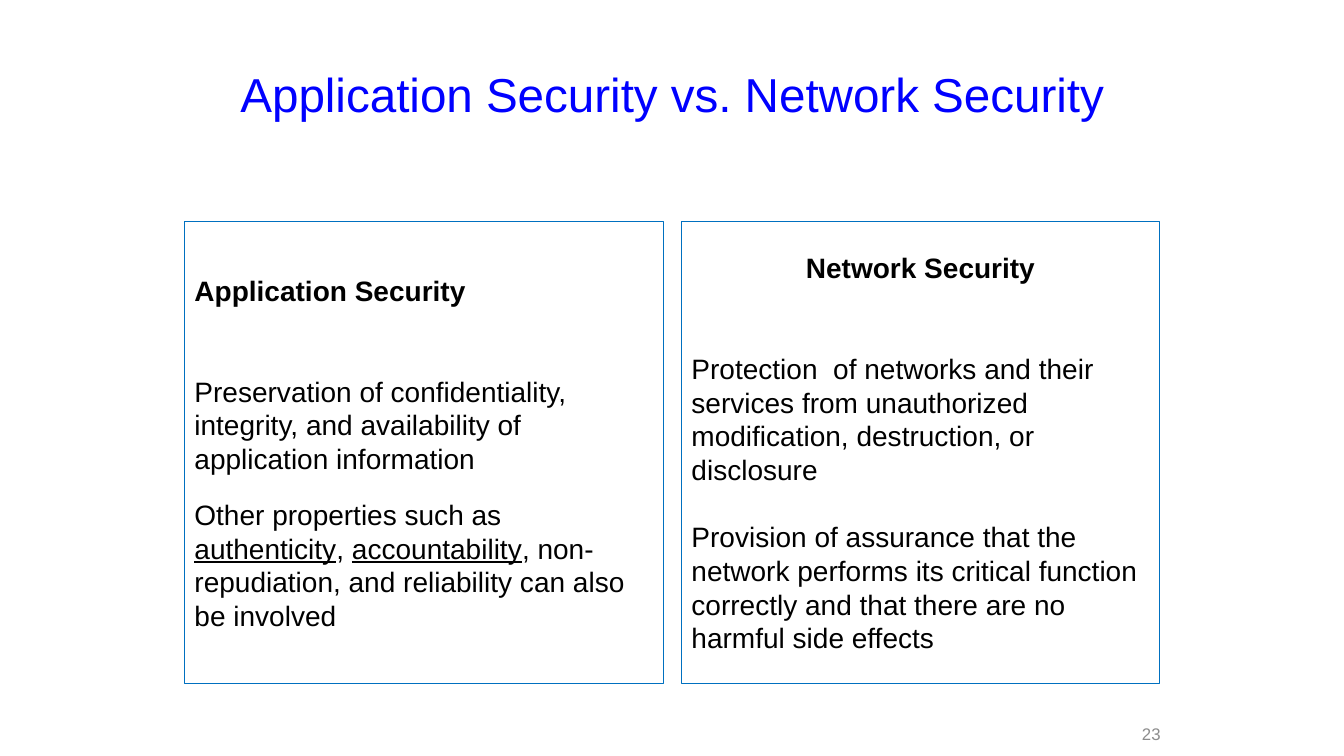
from pptx import Presentation
from pptx.dml.color import RGBColor
from pptx.enum.shapes import MSO_SHAPE
from pptx.enum.text import MSO_ANCHOR, PP_ALIGN
from pptx.util import Inches, Pt

RECTANGLE = MSO_SHAPE.RECTANGLE
MIDDLE = MSO_ANCHOR.MIDDLE
LEFT, CENTER, RIGHT = PP_ALIGN.LEFT, PP_ALIGN.CENTER, PP_ALIGN.RIGHT

BLUE, BORDER, BLACK, WHITE, GRAY = "0000FF", "0070C0", "000000", "FFFFFF", "8C8C8C"


def color(hex_value):
    return RGBColor.from_string(hex_value)


class SlideBuilder:
    font_name = "Arial"
    body_size = 20
    line_pitch = 24

    def __init__(self, slide):
        self.slide = slide

    def add_run(self, paragraph, text, hex_color, **formats):
        run = paragraph.add_run()
        run.text = text
        run.font.color.rgb = color(hex_color)
        for name, value in {"name": self.font_name, **formats}.items():
            setattr(run.font, name, value)

    def set_frame(self, frame):
        frame.word_wrap = True
        frame.vertical_anchor = MIDDLE

    def title(self, text, left, top, width, height):
        title = self.slide.shapes.title
        box = {"left": left, "top": top, "width": width, "height": height}
        for name, value in box.items():
            setattr(title, name, Inches(value))
        self.set_frame(title.text_frame)
        paragraph = title.text_frame.paragraphs[0]
        paragraph.alignment = CENTER
        self.add_run(paragraph, text, BLUE, size=Pt(34))

    def page_number(self, text, left, top, width, height):
        box = self.slide.shapes.add_textbox(*map(Inches, (left, top, width, height)))
        self.set_frame(box.text_frame)
        paragraph = box.text_frame.paragraphs[0]
        paragraph.alignment = RIGHT
        self.add_run(paragraph, text, GRAY, size=Pt(12))

    def panel(self, left, top, width, height, heading, heading_align, points, fill=None):
        """Points are pairs of space before and runs; a run is (text, underlined)."""
        panel = self.slide.shapes.add_shape(
            RECTANGLE, *map(Inches, (left, top, width, height)))
        panel.shadow.inherit = False
        panel.line.color.rgb = color(BORDER)
        panel.line.width = Pt(0.75)
        if fill:
            panel.fill.solid()
            panel.fill.fore_color.rgb = color(fill)
        else:
            panel.fill.background()

        frame = panel.text_frame
        self.set_frame(frame)
        paragraph = frame.paragraphs[0]
        paragraph.alignment = heading_align
        paragraph.line_spacing = Pt(self.line_pitch)
        self.add_run(paragraph, heading, BLACK, size=Pt(self.body_size), bold=True)
        for space_before, runs in points:
            paragraph = frame.add_paragraph()
            paragraph.alignment = LEFT
            paragraph.line_spacing = Pt(self.line_pitch)
            paragraph.space_before = Pt(space_before)
            for text, underlined in runs:
                self.add_run(paragraph, text, BLACK, size=Pt(self.body_size),
                             bold=False, underline=underlined)


def main():
    deck = Presentation()
    deck.slide_width, deck.slide_height = Inches(13.33), Inches(7.5)
    builder = SlideBuilder(deck.slides.add_slide(deck.slide_layouts[5]))

    # Title and page number
    builder.title("Application Security vs. Network Security", 0.67, 0.3, 12, 1.25)
    builder.page_number("23", 10.93, 7.2, 0.68, 0.15)

    # Compared fields, side by side
    application_points = [
        (48, [("Preservation of confidentiality, integrity, and availability of "
               "application information", False)]),
        (16, [("Other properties such as ", False),
              ("authenticity", True),
              (", ", False),
              ("accountability", True),
              (", non-repudiation, and reliability can also be involved", False)]),
    ]
    network_points = [
        (48, [("Protection  of networks and their services from unauthorized "
               "modification, destruction, or disclosure", False)]),
        (24, [("Provision of assurance that the network performs its critical function "
               "correctly and that there are no harmful side effects", False)]),
    ]
    builder.panel(1.83, 2.2, 4.75, 4.58, "Application Security", LEFT, application_points)
    builder.panel(6.76, 2.2, 4.74, 4.58, "Network Security", CENTER, network_points, WHITE)

    deck.save("out.pptx")


if __name__ == "__main__":
    main()
